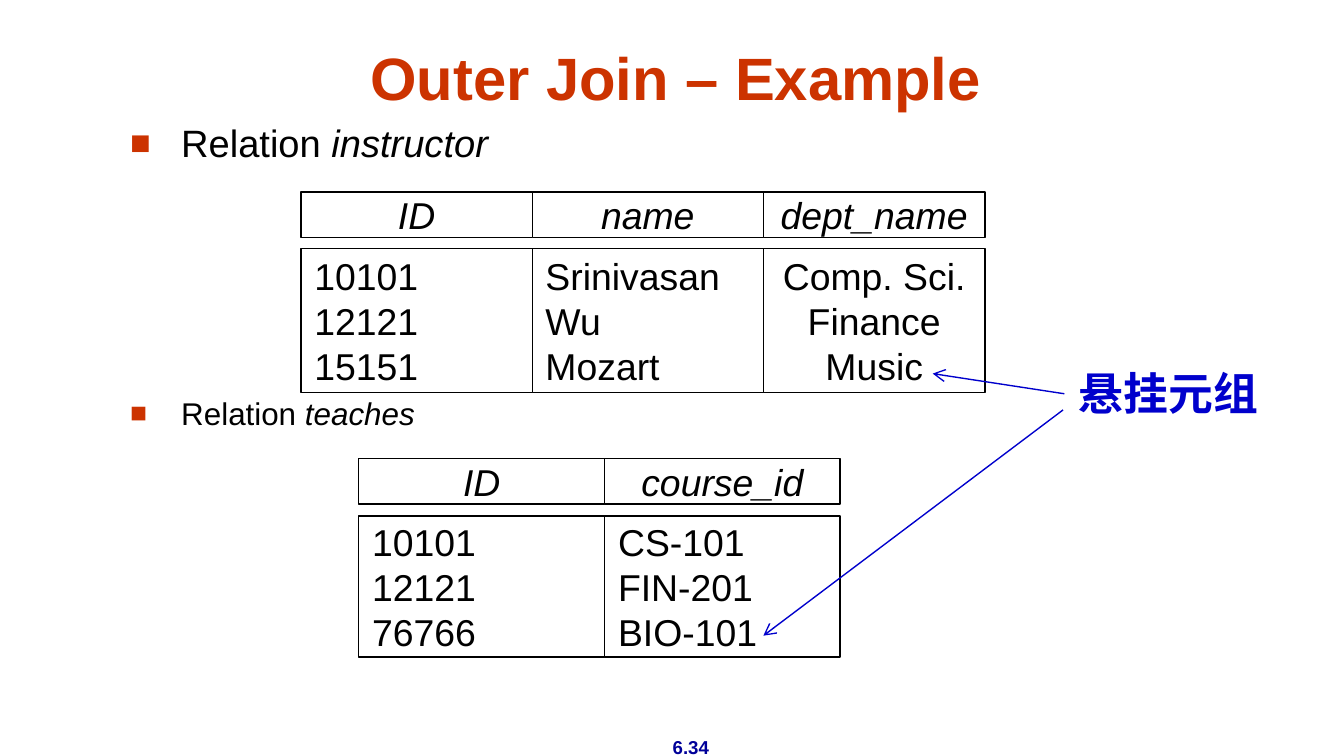
from dataclasses import dataclass

from lxml.etree import SubElement
from pptx import Presentation
from pptx.dml.color import RGBColor as Color
from pptx.enum.shapes import MSO_CONNECTOR as Connector, MSO_SHAPE as Shape
from pptx.enum.text import MSO_ANCHOR as Anchor, MSO_AUTO_SIZE as AutoSize, PP_ALIGN as Align
from pptx.oxml.ns import qn
from pptx.util import Inches, Pt


@dataclass(frozen=True)
class Theme:
    font: str = "Arial"
    chinese_font: str = "Noto Sans CJK SC"
    accent: str = "CC3300"
    ink: str = "000000"
    paper: str = "FFFFFF"
    note: str = "0000CC"
    number: str = "000099"
    title_size: float = 32
    note_size: float = 24
    cell_size: float = 20
    number_size: float = 10
    line_width: float = 0.75


THEME = Theme()
HEADER_HEIGHT = 0.34


def add_run(para, text, size, color=THEME.ink, bold=False, italic=False, font=THEME.font):
    span = para.add_run()
    span.text = text
    span.font.name = font
    span.font.size = Pt(size)
    span.font.bold = bold
    span.font.italic = italic
    span.font.color.rgb = Color.from_string(color)
    return span


def add_text_box(slide, left, top, width, height, wrap=False):
    box = slide.shapes.add_textbox(*map(Inches, (left, top, width, height)))
    box.text_frame.word_wrap = wrap
    return box.text_frame.paragraphs[0]


def add_title(slide, text):
    title = slide.shapes.title
    title.left, title.top, title.width, title.height = map(Inches, (0.84, 0.33, 8.38, 0.56))
    frame = title.text_frame
    frame.auto_size = AutoSize.NONE
    frame.vertical_anchor = Anchor.BOTTOM
    para = frame.paragraphs[0]
    para.alignment = Align.CENTER
    add_run(para, text, THEME.title_size, THEME.accent, bold=True)


def add_bullet(slide, top, width, relation, size, spacing):
    para = add_text_box(slide, 0.87, top, width, 0.4, wrap=True)
    props = para._p.get_or_add_pPr()
    props.set("marL", str(Inches(0.38)))
    props.set("indent", str(-Inches(0.38)))
    bullet_color = SubElement(props, qn("a:buClr"))
    SubElement(bullet_color, qn("a:srgbClr"), val=THEME.accent)
    SubElement(props, qn("a:buSzPct"), val="90000")
    SubElement(props, qn("a:buFont"), typeface=THEME.font)
    SubElement(props, qn("a:buChar"), char="■")
    para.line_spacing = spacing
    add_run(para, "Relation ", size)
    add_run(para, relation, size, italic=True)


def add_cell(group, left, top, width, height, lines, align, italic=False):
    cell = group.shapes.add_shape(Shape.RECTANGLE, *map(Inches, (left, top, width, height)))
    cell.shadow.inherit = False
    cell.fill.solid()
    cell.fill.fore_color.rgb = Color.from_string(THEME.paper)
    cell.line.color.rgb = Color.from_string(THEME.ink)
    cell.line.width = Pt(THEME.line_width)
    frame = cell.text_frame
    frame.word_wrap = False
    frame.vertical_anchor = Anchor.MIDDLE
    for index, line in enumerate(lines):
        para = frame.add_paragraph() if index else frame.paragraphs[0]
        para.alignment = align
        add_run(para, line, THEME.cell_size, italic=italic)


def add_relation(slide, left, top, body_top, body_height, columns):
    """Group one header box and one box of values for each column."""
    group = slide.shapes.add_group_shape()
    for name, values, width, align in columns:
        add_cell(group, left, top, width, HEADER_HEIGHT, [name], Align.CENTER, italic=True)
        add_cell(group, left, body_top, width, body_height, values, align)
        left += width


def add_note(slide, text):
    para = add_text_box(slide, 7.93, 2.67, 1.53, 0.5)
    span = add_run(para, text, THEME.note_size, THEME.note, bold=True, font=THEME.chinese_font)
    SubElement(span._r.get_or_add_rPr(), qn("a:ea"), typeface=THEME.chinese_font)


def add_arrow(slide, start, end):
    arrow = slide.shapes.add_connector(Connector.STRAIGHT, *map(Inches, (*start, *end)))
    arrow.line.color.rgb = Color.from_string(THEME.note)
    arrow.line.width = Pt(THEME.line_width)
    SubElement(arrow.line._get_or_add_ln(), qn("a:tailEnd"), type="arrow")
    SubElement(arrow._element.spPr, qn("a:effectLst"))


def add_page_number(slide, text):
    para = add_text_box(slide, 4.65, 5.43, 0.98, 0.27)
    para.alignment = Align.CENTER
    add_run(para, text, THEME.number_size, THEME.number, bold=True)


def main():
    deck = Presentation()
    deck.slide_width = Inches(10)
    deck.slide_height = deck.slide_width * 9 // 16
    page = deck.slides.add_slide(deck.slide_layouts[5])

    add_page_number(page, "6.34")
    add_title(page, "Outer Join – Example")
    add_bullet(page, 0.88, 7.5, "instructor", 20.4, 0.9)
    add_bullet(page, 2.94, 7.69, "teaches", 16.8, 0.8)
    add_relation(page, 2.67, 3.41, 3.84, 1.05, [
        ("ID", ["10101", "12121", "76766"], 1.83, Align.LEFT),
        ("course_id", ["CS-101", "FIN-201", "BIO-101"], 1.75, Align.LEFT),
    ])
    add_relation(page, 2.24, 1.43, 1.85, 1.07, [
        ("ID", ["10101", "12121", "15151"], 1.72, Align.LEFT),
        ("name", ["Srinivasan", "Wu", "Mozart"], 1.72, Align.LEFT),
        ("dept_name", ["Comp. Sci.", "Finance", "Music"], 1.65, Align.CENTER),
    ])
    add_note(page, "悬挂元组")
    add_arrow(page, (7.92, 2.93), (6.94, 2.78))
    add_arrow(page, (7.91, 3.05), (5.68, 4.73))
    deck.save("out.pptx")


if __name__ == "__main__":
    main()
